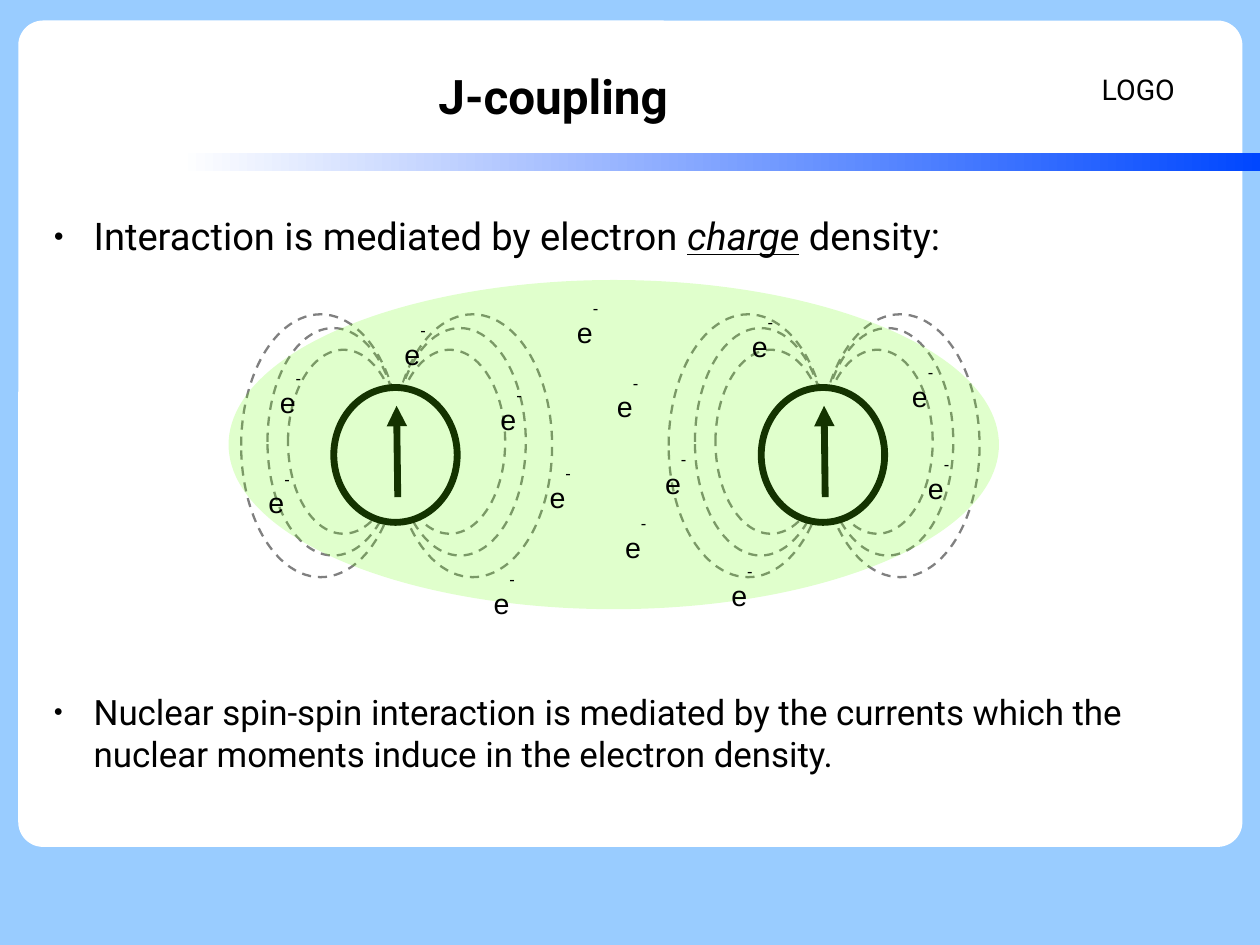
"""Build the J-coupling slide: two nuclear spins inside an electron cloud."""
from dataclasses import dataclass
from typing import NamedTuple

from lxml import etree
from pptx import Presentation, util as u
from pptx.dml.color import RGBColor
from pptx.enum import dml, shapes, text
from pptx.oxml import ns


@dataclass(frozen=True)
class Theme:
    sky: str = "99CCFF"
    paper: str = "FFFFFF"
    bar: str = "0047FF"
    ink: str = "000000"
    loop: str = "808080"
    cloud: str = "66FF00"
    cloud_alpha: int = 20
    font: str = "Roboto"
    label_font: str = "Arial"
    title: float = 30
    lead: float = 24
    body: float = 22
    label: float = 18
    thin: float = 1.45
    thick: float = 4.31


class Box(NamedTuple):
    col: float
    row: float
    cols: float
    rows: float


class Loop(NamedTuple):
    cols: float
    rows: float
    row: float
    overlap: float


class Run(NamedTuple):
    text: str
    emphasis: bool = False
    raised: int = 0


T = Theme()
CELL = 0.1
WIDTH, HEIGHT = u.Cm(28), u.Cm(21)
COLS = 110.24
AXES = (34.7, 72.1)
LOOPS = (Loop(13.9, 23, 27.5, 0.3), Loop(11.5, 19.9, 28.7, 0.2),
         Loop(9.7, 16.1, 30.6, 0.2))
ELECTRONS = ((42.2, 49.3), (49.5, 25.6), (63, 48.6), (22.5, 40.5), (64.8, 26.8),
             (34.4, 27.5), (53.7, 44.4), (80.2, 39.2), (47.1, 40), (53, 32.1),
             (42.8, 33.2), (23.5, 31.7), (78.8, 31.2), (57.2, 38.8))


def cell(n: float) -> int:
    """Turn a number of grid cells into a length."""
    return u.Inches(n * CELL)


def rgb(code: str) -> RGBColor:
    """Turn a hex code into a colour."""
    return RGBColor.from_string(code)


def child(parent, tag: str, **attrs: str):
    """Append a DrawingML element."""
    return etree.SubElement(parent, ns.qn(tag), attrs)


def add_shape(s, kind, box: Box, fill: str = T.paper, line: str = "",
              width: float = T.thin, dashed: bool = False):
    """Draw a preset shape on the grid."""
    sp = s.shapes.add_shape(kind, *map(cell, box))
    sp.shadow.inherit = False
    sp.fill.solid()
    sp.fill.fore_color.rgb = rgb(fill)
    if line:
        sp.line.color.rgb = rgb(line)
        sp.line.width = u.Pt(width)
        if dashed:
            sp.line.dash_style = dml.MSO_LINE.DASH
    else:
        sp.line.fill.background()
    return sp


def add_bullet(p) -> None:
    """Give a paragraph a hanging round bullet."""
    pPr = p._p.get_or_add_pPr()
    pPr.set("marL", str(u.Inches(0.47)))
    pPr.set("indent", str(u.Inches(-0.35)))
    child(child(pPr, "a:buClr"), "a:srgbClr", val=T.ink)
    child(pPr, "a:buSzPct", val="45000")
    child(pPr, "a:buFont", typeface=T.label_font)
    child(pPr, "a:buChar", char="●")


def add_text(s, box: Box, *runs: Run, size: float, font: str = T.font,
             bold: bool = False, align=text.PP_ALIGN.LEFT,
             anchor=text.MSO_ANCHOR.TOP, inset: bool = False,
             bullet: bool = False) -> None:
    """Write one paragraph in a text box."""
    tf = s.shapes.add_textbox(*map(cell, box)).text_frame
    tf.word_wrap = True
    tf.vertical_anchor = anchor
    tf.margin_left = tf.margin_right = cell(1 if inset else 0)
    tf.margin_top = tf.margin_bottom = cell(0.5 if inset else 0)
    p = tf.paragraphs[0]
    p.alignment = align
    if bullet:
        add_bullet(p)
    for run in runs:
        r = p.add_run()
        r.text = run.text
        r.font.name = font
        r.font.size = u.Pt(size)
        r.font.bold = bold
        r.font.color.rgb = rgb(T.ink)
        if run.emphasis:
            r.font.italic = r.font.underline = True
        if run.raised:
            r.font._element.set("baseline", str(run.raised * 1000))


def add_spin(s, axis: float) -> None:
    """Draw a nucleus with its moment and field loops."""
    oval = shapes.MSO_SHAPE.OVAL
    for left_side in (True, False):
        for loop in LOOPS:
            col = axis + loop.overlap - loop.cols if left_side else axis - loop.overlap
            add_shape(s, oval, Box(col, loop.row, loop.cols, loop.rows),
                      line=T.loop, dashed=True)
    add_shape(s, oval, Box(axis - 5.5, 33.9, 10.8, 11.8), line=T.ink, width=T.thick)
    arrow = s.shapes.add_connector(shapes.MSO_CONNECTOR.STRAIGHT, cell(axis + 0.1),
                                   cell(43.5), cell(axis), cell(35.5))
    arrow.line.color.rgb = rgb(T.ink)
    arrow.line.width = u.Pt(T.thick)
    child(arrow.line._get_or_add_ln(), "a:tailEnd", type="triangle")
    child(arrow._element.spPr, "a:effectLst")


def add_frame(s) -> None:
    """Draw the background, panel, gradient bar and header text."""
    s.background.fill.solid()
    s.background.fill.fore_color.rgb = rgb(T.sky)
    panel = add_shape(s, shapes.MSO_SHAPE.ROUNDED_RECTANGLE, Box(1.6, 1.8, 107.1, 72.3))
    panel.adjustments[0] = 0.03
    bar = add_shape(s, shapes.MSO_SHAPE.RECTANGLE, Box(15.7, 13.4, COLS - 15.7, 1.6))
    bar.fill.gradient()
    bar.fill.gradient_angle = 0
    for stop, code in zip(bar.fill.gradient_stops, (T.paper, T.bar)):
        stop.color.rgb = rgb(code)
    add_text(s, Box(95.4, 3.1, 9.1, 9.4), Run("LOGO"), size=T.label,
             anchor=text.MSO_ANCHOR.MIDDLE, inset=True)
    add_text(s, Box(5.5, 3.3, 85.8, 10.1), Run("J-coupling"), size=T.title, bold=True,
             align=text.PP_ALIGN.CENTER, anchor=text.MSO_ANCHOR.MIDDLE)


def main() -> None:
    """Assemble and save the slide."""
    prs = Presentation()
    prs.slide_width, prs.slide_height = WIDTH, HEIGHT
    s = prs.slides.add_slide(prs.slide_layouts[6])
    add_frame(s)
    add_text(s, Box(3.5, 18.6, 102.7, 4), Run("Interaction is mediated by electron "),
             Run("charge", emphasis=True), Run(" density:"), size=T.lead, bullet=True)
    add_text(s, Box(3.5, 60.4, 102.7, 8),
             Run("Nuclear spin-spin interaction is mediated by the currents which the "
                 "nuclear moments induce in the electron density."),
             size=T.body, bullet=True)
    for axis in AXES:
        add_spin(s, axis)
    cloud = add_shape(s, shapes.MSO_SHAPE.OVAL, Box(20, 24.5, 67.4, 28.8), fill=T.cloud)
    tint = cloud._element.spPr.find(".//" + ns.qn("a:srgbClr"))
    child(tint, "a:alpha", val=str(T.cloud_alpha * 1000))
    for col, row in ELECTRONS:
        add_text(s, Box(col, row, 5.6, 3.9), Run("e"), Run("-", raised=101),
                 size=T.label, font=T.label_font, inset=True)
    prs.save("out.pptx")


if __name__ == "__main__":
    main()
